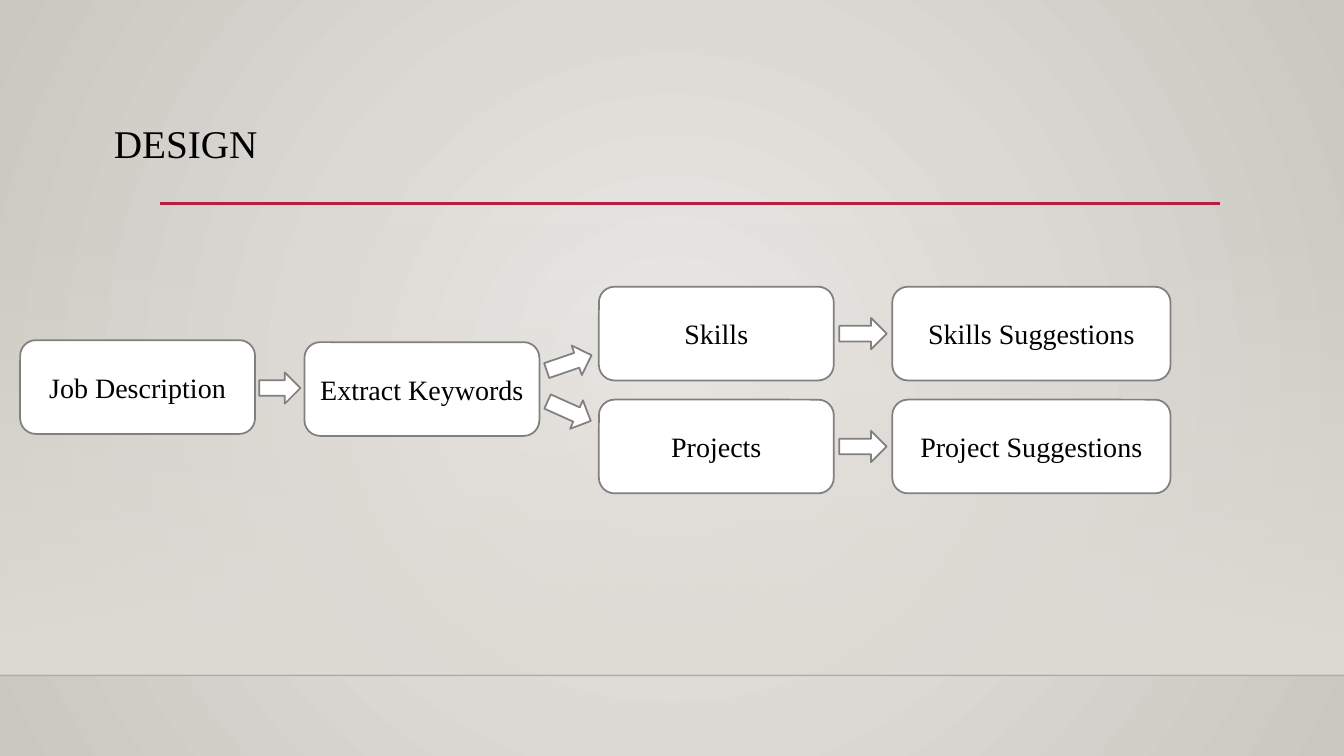
from pptx import Presentation
from pptx.dml.color import RGBColor
from pptx.enum.shapes import MSO_CONNECTOR, MSO_SHAPE
from pptx.enum.text import MSO_ANCHOR, PP_ALIGN
from pptx.oxml import parse_xml
from pptx.oxml.ns import nsdecls, qn
from pptx.util import Inches, Pt

RECTANGLE, BOX, ARROW = MSO_SHAPE.RECTANGLE, MSO_SHAPE.ROUNDED_RECTANGLE, MSO_SHAPE.RIGHT_ARROW
STRAIGHT = MSO_CONNECTOR.STRAIGHT
MIDDLE, LEFT, CENTER = MSO_ANCHOR.MIDDLE, PP_ALIGN.LEFT, PP_ALIGN.CENTER

THEME = {
    "font": "Times New Roman",
    "title size": Pt(28),
    "label size": Pt(20),
    "text": RGBColor.from_string("000000"),
    "glow": RGBColor.from_string("ECEAE7"),
    "edge": RGBColor.from_string("CAC7C1"),
    "wall": RGBColor.from_string("DFDBD5"),
    "floor line": RGBColor.from_string("000001"),
    "accent": RGBColor.from_string("B71E42"),
    "step fill": RGBColor.from_string("FFFFFF"),
    "step line": RGBColor.from_string("808080"),
}
WIDTH, HEIGHT = 13.33, 7.5
FLOOR = 6.7

# Flow grid: left edge and width of each column, centre of each row
COLUMNS = [(0.2, 2.33), (3.02, 2.33), (5.94, 2.33), (8.85, 2.76)]
UPPER, MIDWAY, LOWER = 3.31, 3.85, 4.43
STEP_HEIGHT, ARROW_HEIGHT = 0.93, 0.31

prs = Presentation()
prs.slide_width, prs.slide_height = Inches(WIDTH), Inches(HEIGHT)
slide = prs.slides.add_slide(prs.slide_layouts[5])
shapes = slide.shapes


def add_flow_shape(kind, center_x, center_y, width, height):
    """Add a step or arrow, placed by its centre."""
    flow_shape = shapes.add_shape(kind, Inches(center_x - width / 2), Inches(center_y - height / 2),
                                  Inches(width), Inches(height))
    flow_shape.shadow.inherit = False
    flow_shape.fill.solid()
    flow_shape.fill.fore_color.rgb = THEME["step fill"]
    flow_shape.line.color.rgb = THEME["step line"]
    flow_shape.line.width = Pt(1.25)
    return flow_shape


def write(frame, text, size, alignment):
    frame.vertical_anchor = MIDDLE
    frame.word_wrap = True
    paragraph = frame.paragraphs[0]
    paragraph.alignment = alignment
    run = paragraph.add_run()
    run.text = text
    run.font.name, run.font.size = THEME["font"], size
    run.font.color.rgb = THEME["text"]


# Background: circular glow from the centre
glow = slide.background.fill
glow.gradient()
for stop, shade in zip(glow.gradient_stops, ("glow", "edge")):
    stop.color.rgb = THEME[shade]
glow_xml = slide.element.find(".//" + qn("a:gradFill"))
glow_xml.replace(glow_xml.find(qn("a:lin")), parse_xml(
    f'<a:path {nsdecls("a")} path="circle">'
    '<a:fillToRect l="50000" t="50000" r="50000" b="50000"/></a:path>'))

# Wall that fades in down to the floor
wall = shapes.add_shape(RECTANGLE, 0, Inches(2.21), Inches(WIDTH), Inches(FLOOR - 2.21))
wall.shadow.inherit = False
wall.line.fill.background()
wall.fill.gradient()
wall.fill.gradient_angle = 270
for stop in wall.fill.gradient_stops:
    stop.color.rgb = THEME["wall"]
clear_color = wall.element.find(".//" + qn("a:srgbClr"))
clear_color.append(parse_xml(f'<a:alpha {nsdecls("a")} val="0"/>'))

# Floor line and title rule
for start, end, y, color, weight, opacity in [
    (0, WIDTH, FLOOR, "floor line", 1, 20),
    (1.59, 12.1, 2.02, "accent", 2.5, 100),
]:
    rule = shapes.add_connector(STRAIGHT, Inches(start), Inches(y), Inches(end), Inches(y))
    rule.line.color.rgb = THEME[color]
    rule.line.width = Pt(weight)
    rule_color = rule.element.find(".//" + qn("a:srgbClr"))
    rule_color.append(parse_xml(f'<a:alpha {nsdecls("a")} val="{opacity * 1000}"/>'))
    rule.element.spPr.append(parse_xml(f'<a:effectLst {nsdecls("a")}/>'))

title = shapes.title
title.left, title.top, title.width, title.height = Inches(1.03), Inches(0.95), Inches(11.3), Inches(0.94)
write(title.text_frame, "DESIGN", THEME["title size"], LEFT)

# Steps of the flow
for label, column, center_y in [
    ("Job Description", 0, MIDWAY - 0.01),
    ("Extract Keywords", 1, MIDWAY + 0.01),
    ("Skills", 2, UPPER),
    ("Projects", 2, LOWER),
    ("Skills Suggestions", 3, UPPER),
    ("Project Suggestions", 3, LOWER),
]:
    left, width = COLUMNS[column]
    step = add_flow_shape(BOX, left + width / 2, center_y, width, STEP_HEIGHT)
    write(step.text_frame, label, THEME["label size"], CENTER)

# Arrows, centred in the gap after their column
for column, center_y, width, rotation in [
    (0, MIDWAY, 0.41, 0),
    (1, 3.6, 0.47, 341.1),
    (1, 4.08, 0.47, 24.2),
    (2, UPPER, 0.47, 0),
    (2, LOWER, 0.47, 0),
]:
    left, step_width = COLUMNS[column]
    gap_center = (left + step_width + COLUMNS[column + 1][0]) / 2
    arrow = add_flow_shape(ARROW, gap_center, center_y, width, ARROW_HEIGHT)
    arrow.rotation = rotation

prs.save("out.pptx")
